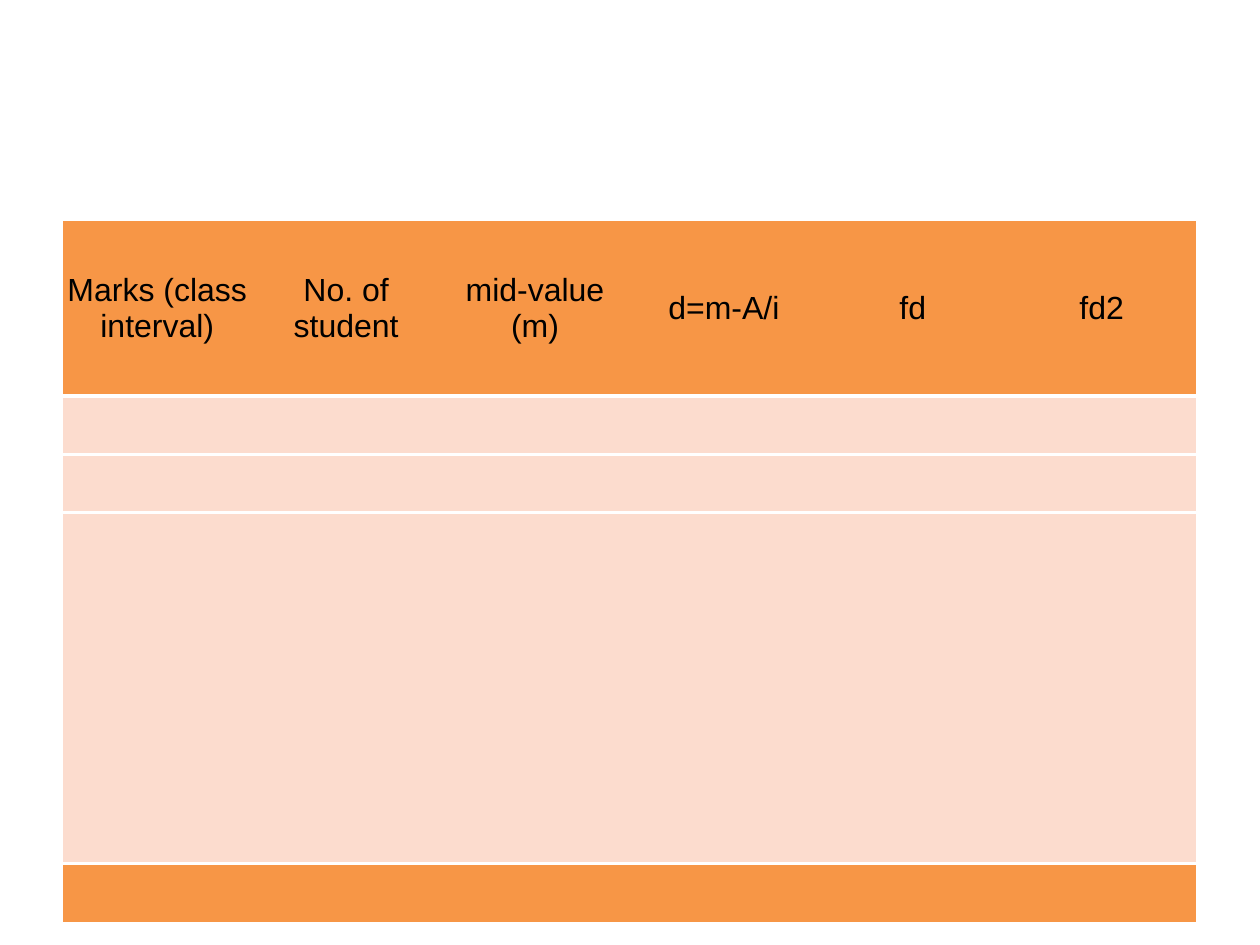
from pptx import Presentation
from pptx.dml.color import RGBColor
from pptx.enum.text import MSO_ANCHOR, PP_ALIGN
from pptx.oxml import parse_xml
from pptx.oxml.ns import nsdecls, qn
from pptx.util import Inches, Pt

COLORS = {"band": "F79646", "body": "FCDCCE", "rule": "FFFFFF", "text": "000000"}
HEADINGS = ["Marks (class interval)", "No. of student", "mid-value (m)",
            "d=m-A/i", "fd", "fd2"]
HEADING_FONT = {"name": "Arial", "size": Pt(26), "bold": False}
CELL_FORMAT = {"vertical_anchor": MSO_ANCHOR.MIDDLE,
               **{f"margin_{side}": Inches(0.05)
                  for side in ("left", "right", "top", "bottom")}}
PLAIN_STYLE = "{2D5ABB26-0587-4C30-8999-92F81FD0307C}"
BODY_ROWS = 8
HEADING_HEIGHT = 1.98
RULED_ROWS = {0, 1, BODY_ROWS}  # rows with a white rule below


def apply_format(target, values):
    for attribute, value in values.items():
        setattr(target, attribute, value)


def add_rule(cell, edge):
    """Draw a white 3 pt rule on one edge; borders precede the fill."""
    rule = parse_xml(
        f'<a:{edge} {nsdecls("a")} w="{Pt(3)}"><a:solidFill>'
        f'<a:srgbClr val="{COLORS["rule"]}"/></a:solidFill></a:{edge}>')
    properties = cell._tc.get_or_add_tcPr()
    fill = properties.find(qn("a:solidFill"))
    fill.addprevious(rule)


def add_heading(cell, heading):
    paragraph = cell.text_frame.paragraphs[0]
    paragraph.alignment = PP_ALIGN.CENTER
    run = paragraph.add_run()
    run.text = heading
    apply_format(run.font, HEADING_FONT)
    run.font.color.rgb = RGBColor.from_string(COLORS["text"])


def add_marks_table(slide, left, top, width, height):
    last_row = BODY_ROWS + 1
    marks = slide.shapes.add_table(
        last_row + 1, len(HEADINGS), Inches(left), Inches(top),
        Inches(width), Inches(height)).table
    apply_format(marks, {"first_row": False, "horz_banding": False})
    marks._tbl.tblPr.find(qn("a:tableStyleId")).text = PLAIN_STYLE

    # Heading row is tall, the others share the rest
    for index, row in enumerate(marks.rows):
        row.height = Inches(HEADING_HEIGHT if index == 0
                            else (height - HEADING_HEIGHT) / last_row)
        band = "band" if index in (0, last_row) else "body"
        for cell in row.cells:
            apply_format(cell, CELL_FORMAT)
            cell.fill.solid()
            cell.fill.fore_color.rgb = RGBColor.from_string(COLORS[band])
            if index - 1 in RULED_ROWS:
                add_rule(cell, "lnT")
            if index in RULED_ROWS:
                add_rule(cell, "lnB")

    # Headings
    for cell, heading in zip(marks.rows[0].cells, HEADINGS):
        add_heading(cell, heading)


def main():
    deck = Presentation()
    apply_format(deck, {"slide_width": Inches(14.22), "slide_height": Inches(10.67)})
    slide = deck.slides.add_slide(deck.slide_layouts[6])
    add_marks_table(slide, 0.71, 2.49, 12.79, 7.92)
    deck.save("out.pptx")


if __name__ == "__main__":
    main()
